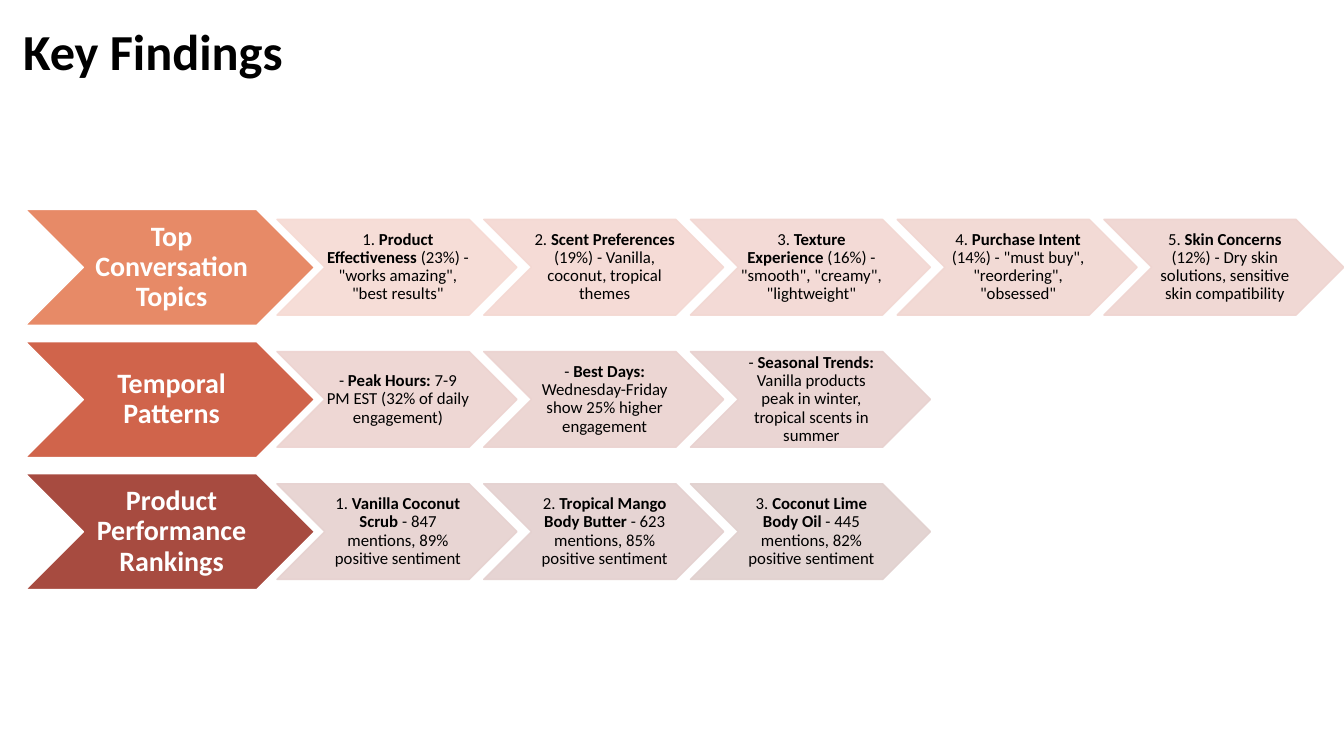
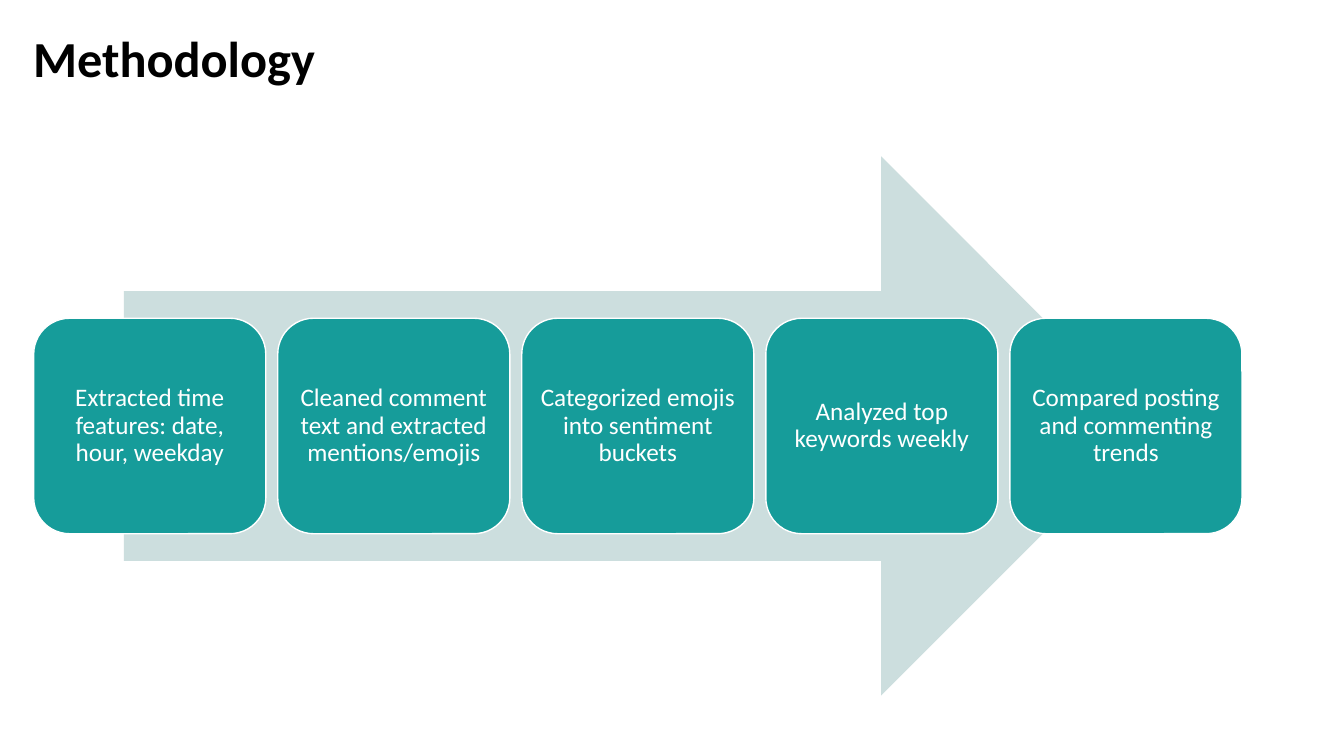
from pptx import Presentation
from pptx.dml.color import RGBColor
from pptx.enum.shapes import MSO_SHAPE
from pptx.enum.text import MSO_ANCHOR, PP_ALIGN
from pptx.oxml.ns import qn
from pptx.util import Cm, Pt
from lxml.etree import SubElement

FONT = "Calibri"
BLACK = RGBColor(0x00, 0x00, 0x00)
WHITE = RGBColor(0xFF, 0xFF, 0xFF)
ORANGE = RGBColor(0xE7, 0x8A, 0x67)
RUST = RGBColor(0xD0, 0x64, 0x4B)
BRICK = RGBColor(0xA7, 0x4B, 0x40)
TEAL = RGBColor(0x16, 0x9C, 0x9A)
PALE_TEAL = RGBColor(0xCC, 0xDE, 0xDE)
ORANGE_TINTS = [RGBColor.from_string(c) for c in
                ("F6DAD3", "F4D8D2", "F2D7D2", "F1D6D1", "EFD4D0")]
RUST_TINTS = [RGBColor.from_string(c) for c in ("EDD3D0", "EBD2CF", "E8D1CF")]
BRICK_TINTS = [RGBColor.from_string(c) for c in ("E6D1CF", "E4D0CF", "E1D0CE")]

# Each finding is (marker, bold lead, remainder).
FINDINGS = [
    ("Top Conversation Topics", ORANGE, ORANGE_TINTS, [
        ("1. ", "Product Effectiveness", ' (23%) - "works amazing", "best results"'),
        ("2. ", "Scent Preferences", " (19%) - Vanilla, coconut, tropical themes"),
        ("3. ", "Texture Experience", ' (16%) - "smooth", "creamy", "lightweight"'),
        ("4. ", "Purchase Intent", ' (14%) - "must buy", "reordering", "obsessed"'),
        ("5. ", "Skin Concerns",
         " (12%) - Dry skin solutions, sensitive skin compatibility"),
    ]),
    ("Temporal Patterns", RUST, RUST_TINTS, [
        ("- ", "Peak Hours:", " 7-9 PM EST (32% of daily engagement)"),
        ("- ", "Best Days:", " Wednesday-Friday show 25% higher engagement"),
        ("- ", "Seasonal Trends:",
         " Vanilla products peak in winter, tropical scents in summer"),
    ]),
    ("Product Performance Rankings", BRICK, BRICK_TINTS, [
        ("1. ", "Vanilla Coconut Scrub", " - 847 mentions, 89% positive sentiment"),
        ("2. ", "Tropical Mango Body Butter",
         " - 623 mentions, 85% positive sentiment"),
        ("3. ", "Coconut Lime Body Oil", " - 445 mentions, 82% positive sentiment"),
    ]),
]

STEPS = [
    "Extracted time features: date, hour, weekday",
    "Cleaned comment text and extracted mentions/emojis",
    "Categorized emojis into sentiment buckets",
    "Analyzed top keywords weekly",
    "Compared posting and commenting trends",
]


def format_paragraph(p, size, color, bold=None, align=PP_ALIGN.CENTER):
    p.alignment = align
    p.line_spacing = 0.9
    p.font.name = FONT
    p.font.size = Pt(size)
    p.font.color.rgb = color
    p.font.bold = bold


def add_titled_slide(prs, title, left, top, width, height):
    s = prs.slides.add_slide(prs.slide_layouts[5])
    sp = s.shapes.title
    sp.left, sp.top, sp.width, sp.height = Cm(left), Cm(top), Cm(width), Cm(height)
    tf = sp.text_frame
    tf.text = title
    tf.vertical_anchor = MSO_ANCHOR.TOP
    format_paragraph(tf.paragraphs[0], 36, BLACK, True, PP_ALIGN.LEFT)
    return s


def add_shape(s, preset, left, top, width, height, fill, line=None):
    sp = s.shapes.add_shape(preset, Cm(left), Cm(top), Cm(width), Cm(height))
    sp.shadow.inherit = False
    sp.fill.solid()
    sp.fill.fore_color.rgb = fill
    if line is None:
        sp.line.fill.background()
    else:
        sp.line.color.rgb = line
        sp.line.width = Pt(1)
    return sp


def set_opacity(sp, percent):
    """Make the fill and the outline of a shape partly transparent."""
    for color in sp._element.spPr.iter(qn("a:srgbClr")):
        SubElement(color, qn("a:alpha"), val=str(percent * 1000))


def set_text(sp, runs, size, color, bold=None, insets=(0.08, 0.03, 0, 0.03)):
    """Write (text, bold) runs as one centred paragraph."""
    tf = sp.text_frame
    tf.word_wrap = True
    tf.vertical_anchor = MSO_ANCHOR.MIDDLE
    tf.margin_left, tf.margin_top, tf.margin_right, tf.margin_bottom = map(Cm, insets)
    p = tf.paragraphs[0]
    format_paragraph(p, size, color, bold)
    for text, run_bold in runs:
        r = p.add_run()
        r.text = text
        r.font.bold = run_bold


def add_finding_row(s, top, heading, color, tints, findings):
    sp = add_shape(s, MSO_SHAPE.CHEVRON, 0.64, top, 7.29, 2.92, color, WHITE)
    set_text(sp, [(heading, None)], 20, WHITE, bold=True)
    for i, (tint, (marker, lead, rest)) in enumerate(zip(tints, findings)):
        sp = add_shape(s, MSO_SHAPE.CHEVRON, 6.98 + i * 5.21, top + 0.25,
                       6.05, 2.41, tint, tint)
        set_opacity(sp, 90)
        set_text(sp, [(marker, None), (lead, True), (rest, None)], 12, BLACK,
                 insets=(0.05, 0.03, 0, 0.03))


def add_findings_slide(prs):
    s = add_titled_slide(prs, "Key Findings", 0.33, 0.56, 31.78, 1.85)
    for i, row in enumerate(FINDINGS):
        add_finding_row(s, 5.28 + i * 3.33, *row)


def add_methodology_slide(prs):
    s = add_titled_slide(prs, "Methodology", 0.58, 0.74, 29.59, 2.16)
    add_shape(s, MSO_SHAPE.RIGHT_ARROW, 3.12, 3.94, 25.88, 13.59, PALE_TEAL)
    for i, step in enumerate(STEPS):
        sp = add_shape(s, MSO_SHAPE.ROUNDED_RECTANGLE, 0.85 + i * 6.15, 8.02,
                       5.85, 5.43, TEAL, WHITE)
        set_text(sp, [(step, None)], 18, WHITE, insets=(0.18,) * 4)


def main():
    prs = Presentation()
    prs.slide_width, prs.slide_height = Cm(33.87), Cm(19.05)
    add_findings_slide(prs)
    add_methodology_slide(prs)
    prs.save("out.pptx")


if __name__ == "__main__":
    main()
